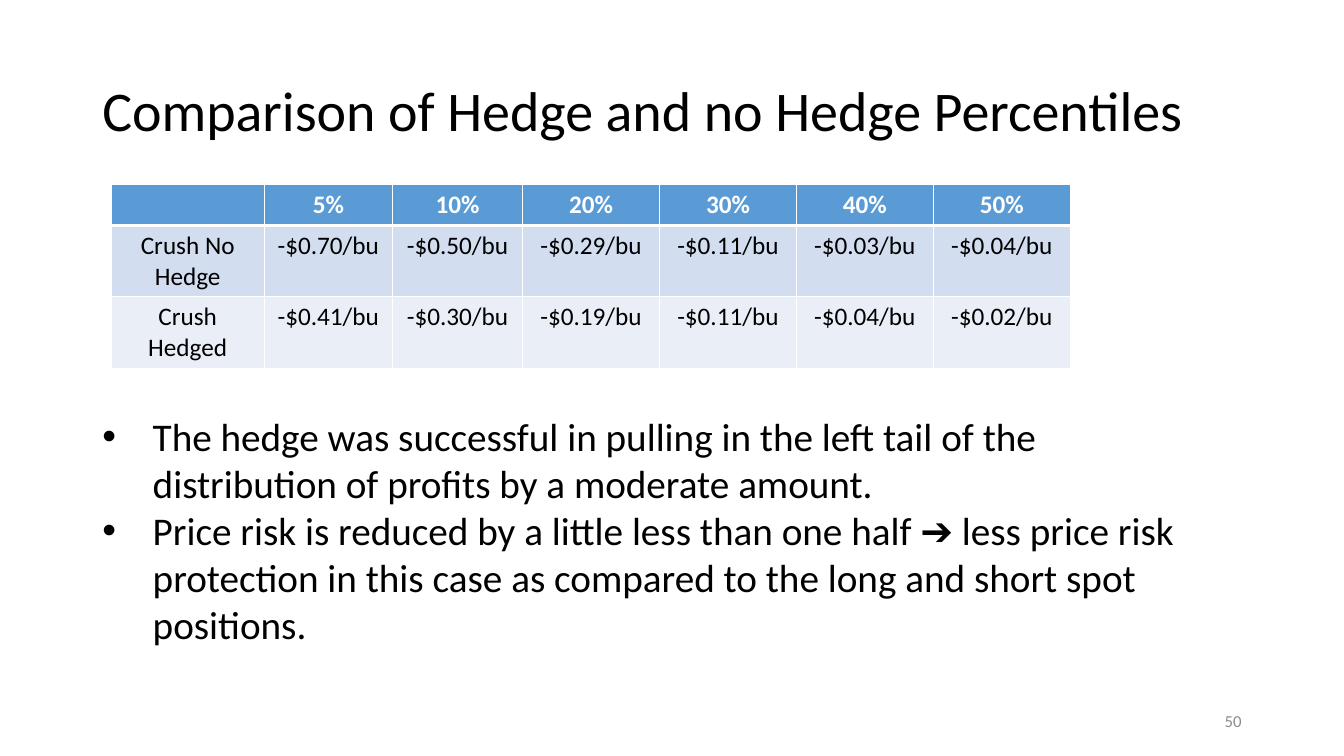
import pptx
import pptx.dml.color
import pptx.enum.text
import pptx.oxml
import pptx.oxml.ns
import pptx.util
from pptx.util import Cm

# Content
TITLE = "Comparison of Hedge and no Hedge Percentiles"
PAGE_NUMBER = "50"
PERCENTILES = [
    ["", "5%", "10%", "20%", "30%", "40%", "50%"],
    ["Crush No Hedge", "-$0.70/bu", "-$0.50/bu", "-$0.29/bu",
     "-$0.11/bu", "-$0.03/bu", "-$0.04/bu"],
    ["Crush Hedged", "-$0.41/bu", "-$0.30/bu", "-$0.19/bu",
     "-$0.11/bu", "-$0.04/bu", "-$0.02/bu"],
]
FINDINGS = [
    "The hedge was successful in pulling in the left tail of the "
    "distribution of profits by a moderate amount.",
    "Price risk is reduced by a little less than one half ➔ less price risk "
    "protection in this case as compared to the long and short spot positions.",
]

# Layout
COLUMN_WIDTHS = [Cm(3.86), Cm(3.23), Cm(3.28)] + [Cm(3.45)] * 4
ROW_HEIGHTS = [Cm(1.03), Cm(1.8), Cm(1.8)]
BULLET_INDENT = Cm(1.27)


class Theme:
    font = "Calibri"
    text, muted, white = "000000", "8C8C8C", "FFFFFF"
    row_fills = ["5B9BD5", "D2DEEF", "EAEFF7"]
    title_size, body_size, table_size, number_size = 40, 28, 18, 12
    thin_line, header_line = 1, 3


ALIGN = pptx.enum.text.PP_ALIGN
ANCHOR = pptx.enum.text.MSO_ANCHOR


def write_text(frame, lines, *, size, color=Theme.text, bold=False,
               align=ALIGN.LEFT, anchor=None, spacing=None, bullet=False):
    """Write one paragraph per line into a text frame."""
    frame.word_wrap = True
    if anchor is not None:
        frame.vertical_anchor = anchor
    for index, line in enumerate(lines):
        paragraph = frame.add_paragraph() if index else frame.paragraphs[0]
        paragraph.text = line
        paragraph.alignment = align
        paragraph.line_spacing = spacing
        font = paragraph.font
        if paragraph.runs:
            font = paragraph.runs[0].font
        font.name, font.size, font.bold = Theme.font, pptx.util.Pt(size), bold
        font.color.rgb = pptx.dml.color.RGBColor.from_string(color)
        if bullet:
            properties = paragraph._p.get_or_add_pPr()
            properties.set("marL", str(BULLET_INDENT))
            properties.set("indent", str(-BULLET_INDENT))
            for tag, name, value in (("buFont", "typeface", "Arial"),
                                     ("buChar", "char", "•")):
                properties.append(pptx.oxml.parse_xml(
                    f'<a:{tag} {pptx.oxml.ns.nsdecls("a")} {name}="{value}"/>'))


def add_text(slide, box, lines, **text_format):
    shape = slide.shapes.add_textbox(*box)
    write_text(shape.text_frame, lines, **text_format)
    return shape


def add_border(cell, side, points):
    cell._tc.get_or_add_tcPr().append(pptx.oxml.parse_xml(
        f'<a:ln{side} {pptx.oxml.ns.nsdecls("a")} w="{pptx.util.Pt(points)}">'
        f'<a:solidFill><a:srgbClr val="{Theme.white}"/></a:solidFill></a:ln{side}>'))


def add_percentile_table(slide):
    table = slide.shapes.add_table(
        len(PERCENTILES), len(COLUMN_WIDTHS), Cm(2.8), Cm(4.65),
        sum(COLUMN_WIDTHS), sum(ROW_HEIGHTS)).table
    for column, width in zip(table.columns, COLUMN_WIDTHS):
        column.width = width
    for row_index, values in enumerate(PERCENTILES):
        table.rows[row_index].height = ROW_HEIGHTS[row_index]
        is_header = row_index == 0
        for column_index, value in enumerate(values):
            cell = table.cell(row_index, column_index)
            write_text(cell.text_frame, [value], size=Theme.table_size,
                       color=Theme.white if is_header else Theme.text,
                       bold=is_header, align=ALIGN.CENTER)
            for side in "LRTB":
                thick = (row_index, side) in ((0, "B"), (1, "T"))
                add_border(cell, side,
                           Theme.header_line if thick else Theme.thin_line)
            cell.fill.solid()
            cell.fill.fore_color.rgb = pptx.dml.color.RGBColor.from_string(
                Theme.row_fills[row_index])


def main():
    presentation = pptx.Presentation()
    presentation.slide_width, presentation.slide_height = Cm(33.87), Cm(19.05)
    slide = presentation.slides.add_slide(presentation.slide_layouts[6])

    # Title and page number
    add_text(slide, (Cm(2.33), Cm(1.01), Cm(29.21), Cm(3.68)), [TITLE],
             size=Theme.title_size, anchor=ANCHOR.MIDDLE, spacing=0.9)
    add_text(slide, (Cm(23.92), Cm(17.66), Cm(7.62), Cm(1.01)), [PAGE_NUMBER],
             size=Theme.number_size, color=Theme.muted, align=ALIGN.RIGHT,
             anchor=ANCHOR.MIDDLE)

    # Percentile table
    add_percentile_table(slide)

    # Findings
    findings = add_text(slide, (Cm(2.33), Cm(10.26), Cm(28.6), Cm(6.25)),
                        FINDINGS, size=Theme.body_size, bullet=True)
    findings.text_frame.auto_size = pptx.enum.text.MSO_AUTO_SIZE.SHAPE_TO_FIT_TEXT

    presentation.save("out.pptx")


if __name__ == "__main__":
    main()
